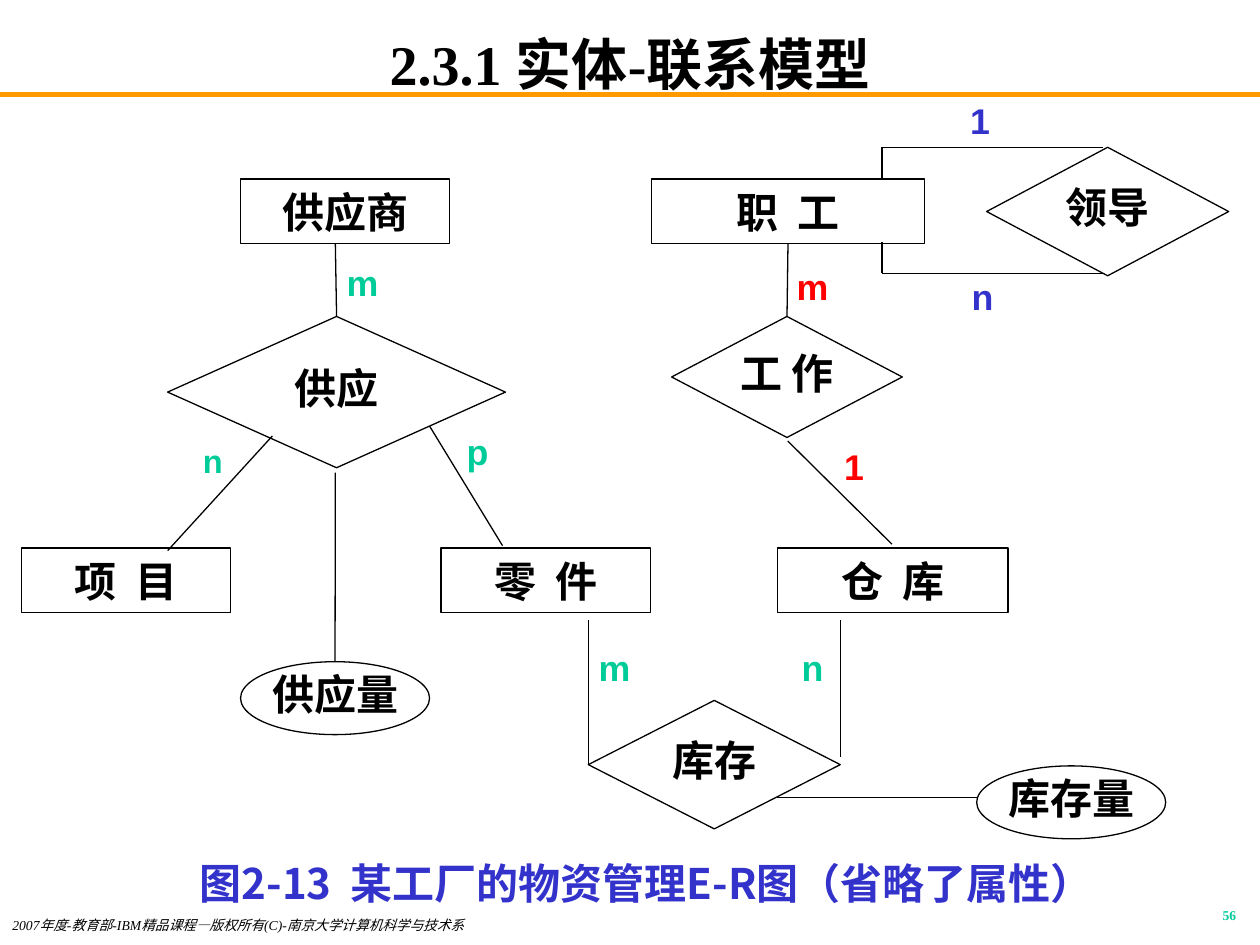
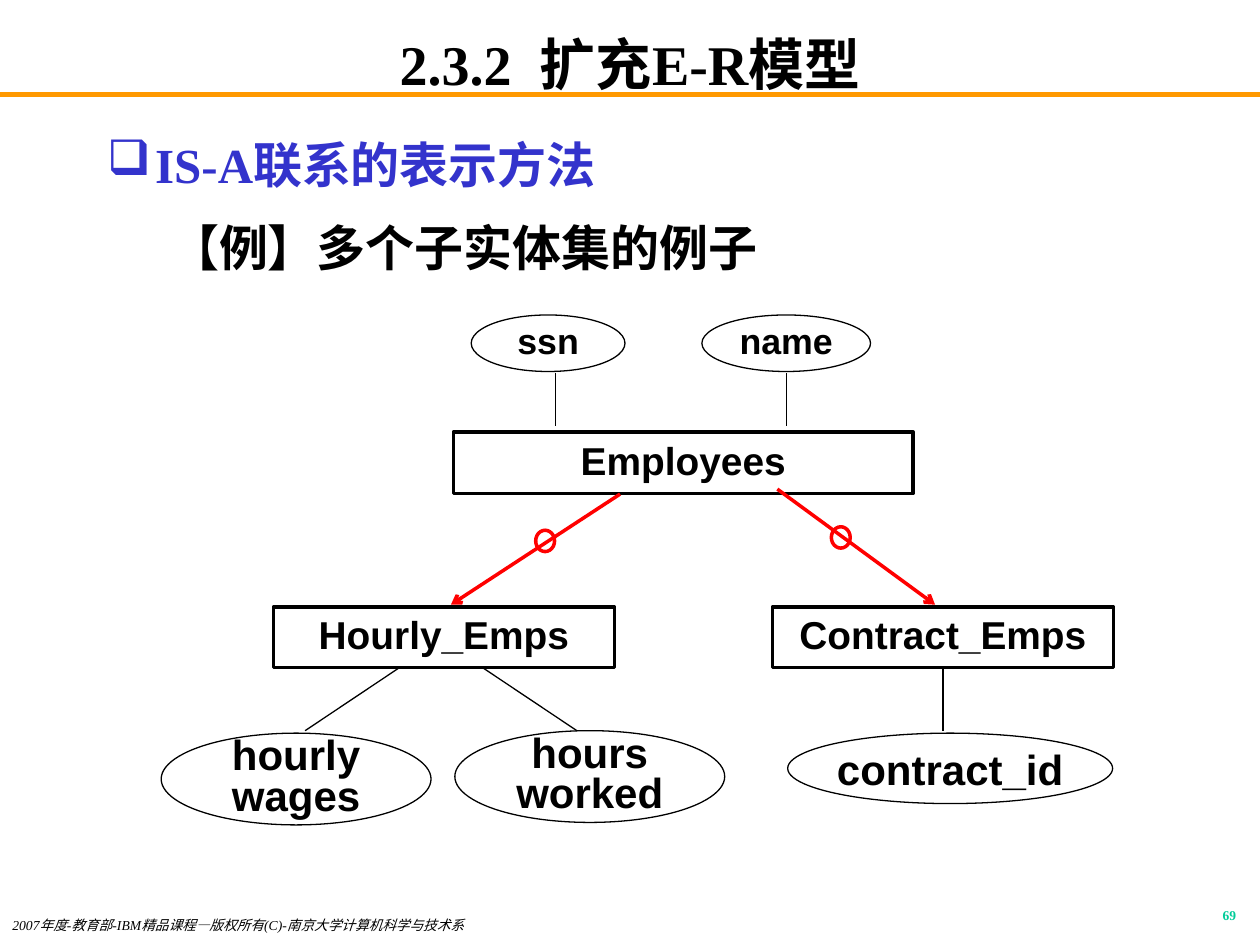
from lxml import etree
from pptx import Presentation
from pptx.dml.color import RGBColor
from pptx.enum.shapes import MSO_CONNECTOR, MSO_SHAPE
from pptx.enum.text import MSO_ANCHOR as ANCHOR, PP_ALIGN as ALIGN
from pptx.oxml.ns import qn
from pptx.util import Cm, Pt

COLORS = {"black": "000000", "white": "FFFFFF", "orange": "FF9900",
          "red": "FF0000", "green": "00CC99", "blue": "3333CC"}
SANS, SERIF, CJK = "Arial", "Times New Roman", "Noto Sans CJK SC"
FOOTER = "2007年度-教育部-IBM精品课程—版权所有(C)-南京大学计算机科学与技术系"
TOP, LEFT, BOTTOM = 0, 1, 2


def rgb(color):
    return RGBColor.from_string(COLORS[color])


def add_xml(parent, tag, **attrs):
    return etree.SubElement(parent, qn(tag), attrs)


class Deck:
    def __init__(self):
        self.prs = Presentation()
        self.prs.slide_width, self.prs.slide_height = Cm(25.4), Cm(19.05)
        self.s = None

    def new_slide(self, title, number):
        self.s = self.prs.slides.add_slide(self.prs.slide_layouts[6])
        self.line((0, 1.91), (25.4, 1.91), "orange", 3)
        self.text(title, (1.91, 0.64, 21.59, 1.27), 32, font=SERIF,
                  inset=(0.25, 0), anchor=ANCHOR.MIDDLE)
        self.text(FOOTER, (0, 18.42, 13.97, 0.64), 7.8, font=SERIF, bold=False,
                  italic=True, align=ALIGN.LEFT, spacing=0.8)
        self.text(number, (19.89, 18.21, 5.28, 0.64), 7.7, "green", SERIF,
                  align=ALIGN.RIGHT, spacing=0.8)

    def style(self, p, size, color="black", font=SANS, bold=True, italic=False,
              align=ALIGN.CENTER, spacing=1.0):
        p.alignment, p.line_spacing = align, spacing
        for r in p.runs:
            f = r.font
            f.size, f.name, f.bold, f.italic = Pt(size), font, bold, italic
            f.color.rgb = rgb(color)
            add_xml(r._r.get_or_add_rPr(), "a:ea", typeface=CJK)

    def frame(self, sp, inset, anchor):
        tf = sp.text_frame
        tf.word_wrap, tf.vertical_anchor = True, anchor
        tf.margin_left = tf.margin_right = Cm(inset[0])
        tf.margin_top = tf.margin_bottom = Cm(inset[1])
        return tf

    def text(self, text, at, size, color="black", font=SANS,
             inset=(0.25, 0.13), anchor=ANCHOR.TOP, **style):
        sp = self.s.shapes.add_textbox(*map(Cm, at))
        tf = self.frame(sp, inset, anchor)
        tf.text = text
        for p in tf.paragraphs:
            self.style(p, size, color, font, **style)
        return tf

    def label(self, text, x, y, color, size=20.4, spacing=0.9):
        self.text(text, (x, y, 1.42, 1.12), size, color,
                  anchor=ANCHOR.MIDDLE, spacing=spacing)

    def shape(self, kind, at, text="", size=24, spacing=1.0, fill=None,
              color="black", width=0.75):
        sp = self.s.shapes.add_shape(kind, *map(Cm, at))
        sp.shadow.inherit = False
        if fill:
            sp.fill.solid()
            sp.fill.fore_color.rgb = rgb(fill)
        else:
            sp.fill.background()
        sp.line.color.rgb, sp.line.width = rgb(color), Pt(width)
        if text:
            tf = self.frame(sp, (0, 0), ANCHOR.MIDDLE)
            tf.text = text
            self.style(tf.paragraphs[0], size, spacing=spacing)
        return sp

    def entity(self, text, at, **kw):
        return self.shape(MSO_SHAPE.RECTANGLE, at, text, **kw)

    def relation(self, text, at):
        return self.shape(MSO_SHAPE.DIAMOND, at, text, spacing=0.8)

    def attribute(self, text, at, spacing=0.8, **kw):
        return self.shape(MSO_SHAPE.OVAL, at, text, spacing=spacing, **kw)

    def line(self, start, end, color="black", width=0.75, arrow=False,
             begin_at=None, end_at=None):
        c = self.s.shapes.add_connector(MSO_CONNECTOR.STRAIGHT,
                                        *map(Cm, start + end))
        c.line.color.rgb, c.line.width = rgb(color), Pt(width)
        if arrow:
            add_xml(c.line._get_or_add_ln(), "a:tailEnd", type="arrow")
        add_xml(c._element.spPr, "a:effectLst")
        if begin_at:
            c.begin_connect(*begin_at)
        if end_at:
            c.end_connect(*end_at)

    def subtype_arrow(self, start, end, ring):
        self.line(start, end, "red", 2, arrow=True)
        self.shape(MSO_SHAPE.OVAL, ring + (0.38, 0.43), color="red", width=2)

    def heading(self, title, example):
        tf = self.text(f"{title}\n{example}", (1.91, 2.34, 21.59, 4.01), 28,
                       font=SERIF, align=ALIGN.LEFT, spacing=1.2)
        first, second = tf.paragraphs
        for p, left, indent in ((first, 0.97, -0.97), (second, 2.06, -0.79)):
            pPr = p._p.get_or_add_pPr()
            pPr.set("marL", str(Cm(left)))
            pPr.set("indent", str(Cm(indent)))
        pPr = first._p.pPr
        add_xml(add_xml(pPr, "a:buClr"), "a:srgbClr", val=COLORS["blue"])
        add_xml(pPr, "a:buChar", char="❑")
        first.runs[0].font.color.rgb = rgb("blue")
        second.space_before = Pt(7)


def factory_slide(d):
    d.new_slide("2.3.1 实体-联系模型", "56")

    # Staff, work and leadership
    staff = d.entity("职  工", (13.13, 3.61, 5.51, 1.3))
    work = d.relation("工 作", (13.54, 6.38, 4.65, 2.44))
    d.relation("领导", (19.89, 2.97, 4.88, 2.59))
    d.line((15.88, 4.91), (15.88, 6.38),
           begin_at=(staff, BOTTOM), end_at=(work, TOP))
    d.line((15.88, 8.89), (17.98, 10.97))
    for y, staff_y in ((2.97, 3.61), (5.51, 4.88)):
        d.line((22.23, y), (17.78, y))
        d.line((17.78, y), (17.78, staff_y))

    # Supply
    d.entity("供应商", (4.85, 3.61, 4.22, 1.3))
    supply = d.relation("供应", (3.38, 6.38, 6.81, 3.05))
    quantity = d.attribute("供应量", (4.85, 13.34, 3.81, 1.47))
    for name, x, w in (("项  目", 0.43, 4.22), ("零  件", 8.89, 4.22),
                       ("仓  库", 15.67, 4.65)):
        d.entity(name, (x, 11.05, w, 1.3))
    d.line((6.76, 4.91), (6.76, 6.38), end_at=(supply, TOP))
    d.line((6.76, 9.53), (6.76, 13.34), end_at=(quantity, TOP))
    d.line((5.49, 8.79), (3.38, 11.1))
    d.line((8.66, 8.59), (10.13, 11))

    # Stock
    stock = d.relation("库存", (11.86, 14.12, 5.08, 2.59))
    d.attribute("库存量", (19.69, 15.44, 3.81, 1.47))
    d.line((11.86, 12.5), (11.86, 15.42), end_at=(stock, LEFT))
    d.line((16.94, 12.5), (16.94, 15.27))
    d.line((15.67, 16.08), (19.69, 16.08))

    # Cardinalities
    for text, x, y, color in (
            ("m", 15.67, 5.26, "red"), ("1", 16.51, 8.89, "red"),
            ("p", 8.92, 8.59, "green"), ("m", 6.6, 5.18, "green"),
            ("n", 15.67, 12.95, "green"), ("m", 11.68, 12.95, "green"),
            ("n", 19.1, 5.46, "blue"), ("1", 19.05, 1.91, "blue")):
        d.label(text, x, y, color)
    d.label("n", 3.58, 8.79, "green", size=18.6, spacing=0.8)

    # Caption
    d.text("图2-13  某工厂的物资管理E-R图（省略了属性）",
           (2.97, 17.15, 20.12, 1.27), 24, "blue", CJK)


def is_a_slide(d):
    d.new_slide("2.3.2  扩充E-R模型", "69")
    d.heading("IS-A联系的表示方法", "【例】多个子实体集的例子")

    # Employees and their attributes
    for name, x, w, line_x in (("ssn", 9.5, 3.1, 11.2),
                               ("name", 14.15, 3.4, 15.85)):
        d.attribute(name, (x, 6.35, w, 1.14), size=20.4, spacing=0.9,
                    fill="white")
        d.line((line_x, 7.52), (line_x, 8.59))
    box = dict(size=22.2, spacing=0.9, fill="white", width=2)
    d.entity("Employees", (9.14, 8.71, 9.27, 1.24), **box)

    # Subtypes
    d.entity("Hourly_Emps", (5.51, 12.24, 6.88, 1.22), **box)
    contract = d.entity("Contract_Emps", (15.57, 12.24, 6.88, 1.22), **box)
    d.subtype_arrow((12.5, 9.96), (9.09, 12.19), (10.8, 10.69))
    d.subtype_arrow((15.67, 9.86), (18.85, 12.19), (16.76, 10.62))

    # Attributes of the subtypes
    d.attribute("hourly wages", (3.25, 14.78, 5.44, 1.85), fill="white")
    d.attribute("hours worked", (9.17, 14.73, 5.44, 1.85), fill="white")
    d.attribute("contract_id", (15.88, 14.78, 6.55, 1.42), spacing=1.0,
                fill="white")
    d.line((8.05, 13.46), (6.15, 14.73))
    d.line((9.73, 13.46), (11.63, 14.73))
    d.line((19.01, 13.46), (19.01, 14.73), begin_at=(contract, BOTTOM))


def main():
    d = Deck()
    factory_slide(d)
    is_a_slide(d)
    d.prs.save("out.pptx")


if __name__ == "__main__":
    main()
